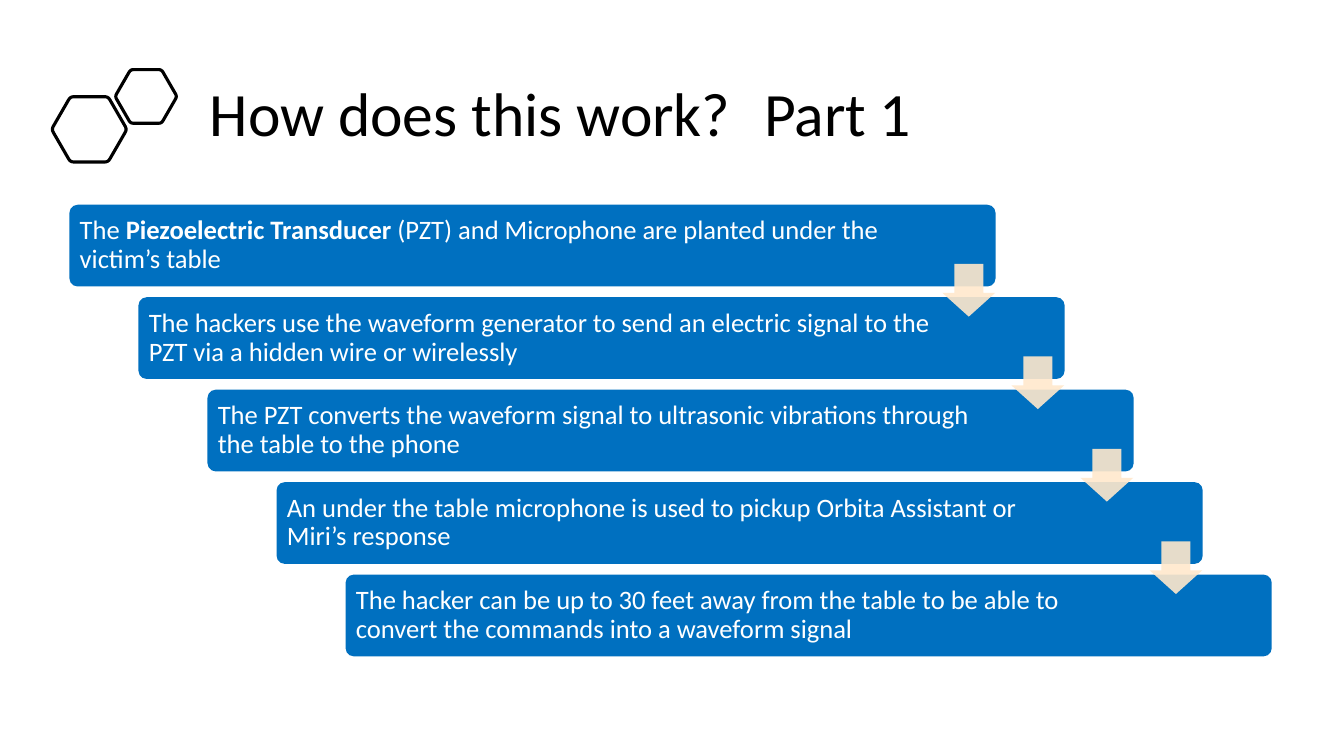
from math import cos, pi, sin

from lxml.etree import SubElement
from pptx import Presentation
from pptx.dml.color import RGBColor
from pptx.enum.shapes import MSO_SHAPE as Preset
from pptx.enum.text import MSO_ANCHOR as Anchor
from pptx.enum.text import MSO_AUTO_SIZE as AutoSize
from pptx.enum.text import PP_ALIGN as Align
from pptx.oxml.ns import qn
from pptx.util import Cm, Pt

COLORS = {"ink": "000000", "step": "0070C0", "step_text": "FFFFFF", "arrow": "FFE8CC"}
FONT = "Calibri"
SHIFT_X, SHIFT_Y = 1.74, 2.33
STEPS = [
    [("The ", False), ("Piezoelectric Transducer", True),
     (" (PZT) and Microphone are planted under the victim’s table", False)],
    [("The hackers use the waveform generator to send an electric signal "
      "to the PZT via a hidden wire or wirelessly", False)],
    [("The PZT converts the waveform signal to ultrasonic vibrations "
      "through the table to the phone", False)],
    [("An under the table microphone is used to pickup Orbita Assistant "
      "or Miri’s response", False)],
    [("The hacker can be up to 30 feet away from the table to be able to "
      "convert the commands into a waveform signal", False)],
]


def color(name):
    """Return the named colour of the slide."""
    return RGBColor.from_string(COLORS[name])


def style_run(run, size, ink, bold=False):
    """Format one run of text."""
    run.font.name, run.font.size, run.font.bold = FONT, Pt(size), bold
    run.font.color.rgb = color(ink)


def style_paragraph(paragraph, space_after):
    """Align a paragraph left with tight lines."""
    paragraph.alignment = Align.LEFT
    paragraph.line_spacing = 0.9
    paragraph.space_before = Pt(0)
    paragraph.space_after = Pt(space_after)


def set_title(title, wording):
    """Place and format the slide title."""
    title.left, title.top, title.width, title.height = Cm(5.03), Cm(1.45), Cm(27.46), Cm(2.97)
    frame = title.text_frame
    frame.text = wording
    frame.auto_size = AutoSize.NONE
    frame.vertical_anchor = Anchor.MIDDLE
    style_paragraph(frame.paragraphs[0], 6)
    for run in frame.paragraphs[0].runs:
        style_run(run, 44, "ink")


def add_hexagon(slide, center_x, center_y, radius):
    """Draw an outlined regular hexagon with rounded corners."""
    cut = 0.09
    corners = [(center_x + radius * cos(k * pi / 3), center_y + radius * sin(k * pi / 3))
               for k in range(6)]
    outline = []
    for k, corner in enumerate(corners):
        before, after = corners[k - 1], corners[(k + 1) % 6]
        for t in (0, 0.25, 0.5, 0.75, 1):
            outline.append(tuple(
                Cm(c + cut * ((1 - t) ** 2 * (b - c) + t ** 2 * (a - c)))
                for b, c, a in zip(before, corner, after)))
    builder = slide.shapes.build_freeform(*outline[0])
    builder.add_line_segments(outline[1:], close=True)
    hexagon = builder.convert_to_shape()
    hexagon.shadow.inherit = False
    hexagon.fill.background()
    hexagon.line.color.rgb = color("ink")
    hexagon.line.width = Pt(2.25)


def add_filled(slide, preset, left, top, width, height, fill):
    """Add a preset shape with a plain fill and no outline."""
    shape = slide.shapes.add_shape(preset, Cm(left), Cm(top), Cm(width), Cm(height))
    shape.shadow.inherit = False
    shape.fill.solid()
    shape.fill.fore_color.rgb = color(fill)
    shape.line.fill.background()
    return shape


def add_step(slide, index, phrases):
    """Add one box of the staircase with its text."""
    box = add_filled(slide, Preset.ROUNDED_RECTANGLE, 1.75 + index * SHIFT_X,
                     5.16 + index * SHIFT_Y, 23.34, 2.06, "step")
    box.adjustments[0] = 0.1
    frame = box.text_frame
    frame.word_wrap = True
    frame.vertical_anchor = Anchor.MIDDLE
    frame.margin_left = frame.margin_top = frame.margin_bottom = Cm(0.2)
    frame.margin_right = Cm(3.25 if index else 2.5)
    paragraph = frame.paragraphs[0]
    style_paragraph(paragraph, 6.65)
    for wording, bold in phrases:
        run = paragraph.add_run()
        run.text = wording
        style_run(run, 19, "step_text", bold)


def add_step_arrow(slide, index):
    """Add the translucent arrow that leads from one step to the next."""
    arrow = add_filled(slide, Preset.DOWN_ARROW, 23.75 + index * SHIFT_X,
                       6.65 + index * SHIFT_Y, 1.33, 1.33, "arrow")
    arrow.adjustments[0], arrow.adjustments[1] = 0.55, 0.45
    tint = arrow.fill._xPr.find(qn("a:solidFill"))[0]
    SubElement(tint, qn("a:alpha"), val="90000")


def main():
    """Build the slide and save it."""
    deck = Presentation()
    deck.slide_width, deck.slide_height = Cm(33.87), Cm(19.05)
    slide = deck.slides.add_slide(deck.slide_layouts[5])
    set_title(slide.shapes.title, "How does this work? \tPart 1")
    add_hexagon(slide, 2.25, 3.26, 0.95)
    add_hexagon(slide, 3.68, 2.43, 0.78)
    for index, phrases in enumerate(STEPS):
        add_step(slide, index, phrases)
    for index in range(len(STEPS) - 1):
        add_step_arrow(slide, index)
    deck.save("out.pptx")


if __name__ == "__main__":
    main()
